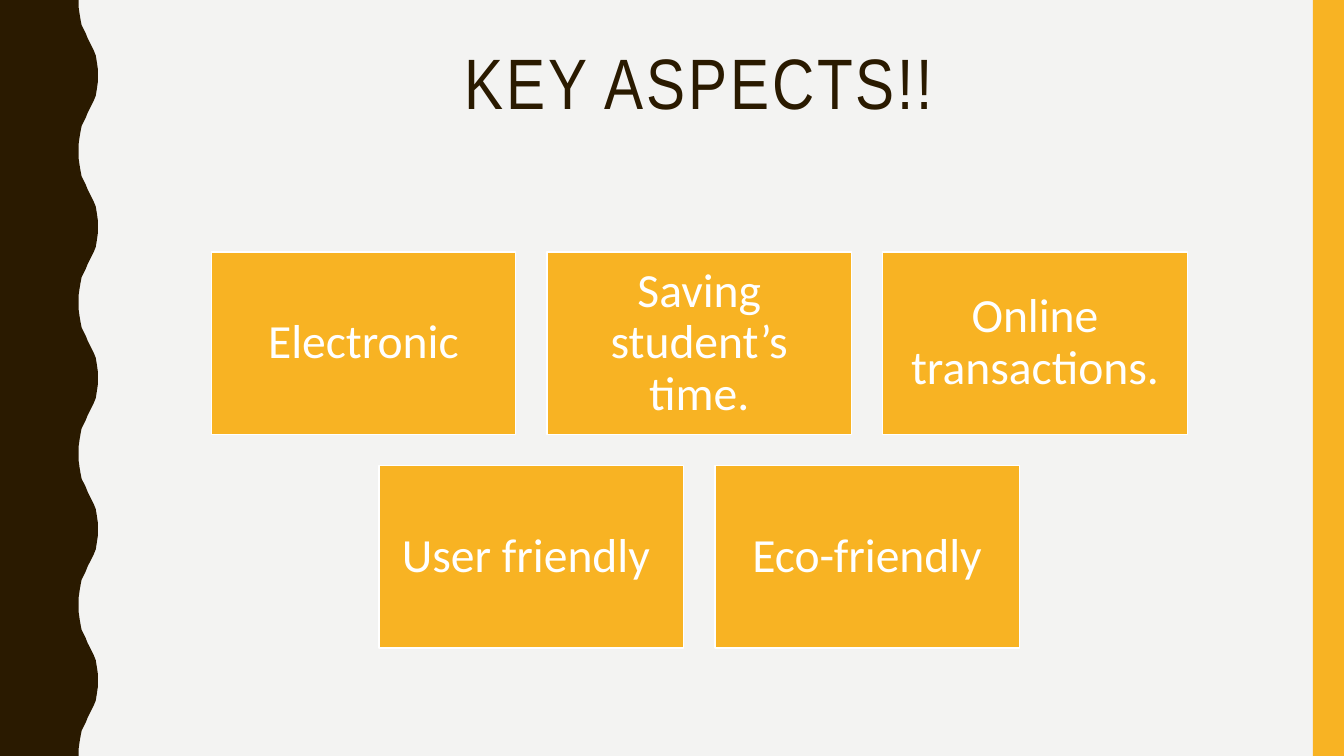
from pptx import Presentation
from pptx.dml.color import RGBColor
from pptx.enum.shapes import MSO_SHAPE
from pptx.enum.text import MSO_ANCHOR, MSO_AUTO_SIZE, PP_ALIGN
from pptx.util import Inches, Pt

RECTANGLE = MSO_SHAPE.RECTANGLE
TOP, MIDDLE = MSO_ANCHOR.TOP, MSO_ANCHOR.MIDDLE
CENTER = PP_ALIGN.CENTER
NO_AUTOFIT = MSO_AUTO_SIZE.NONE

TITLE = "KEY ASPECTS!!"
ASPECT_ROWS = [
    ["Electronic", "Saving student’s time.", "Online transactions."],
    ["User friendly ", "Eco-friendly"],
]

BROWN = RGBColor(0x2A, 0x1A, 0x00)
AMBER = RGBColor(0xF8, 0xB3, 0x23)
WHITE = RGBColor(0xFF, 0xFF, 0xFF)
PAPER = RGBColor(0xF3, 0xF3, 0xF2)

SLIDE_WIDTH, SLIDE_HEIGHT = 13.33, 7.5
CARD_WIDTH, CARD_HEIGHT, CARD_GAP = 3.02, 1.81, 0.31
GRID_CENTER, GRID_TOP = 6.935, 2.5
CARD_INSET = 0.14
STRIPE_WIDTH = 0.31

# Wave edge from trough to crest, as (x, y); the way back mirrors it.
WAVE_COUNT, WAVE_LENGTH = 5, 1.5
WAVE_RISE = [
    (0.78, 0), (0.78, 0.07), (0.79, 0.14), (0.80, 0.20), (0.81, 0.25),
    (0.83, 0.29), (0.85, 0.33), (0.87, 0.38), (0.89, 0.42), (0.91, 0.46),
    (0.93, 0.50), (0.95, 0.55), (0.96, 0.61), (0.97, 0.68), (0.97, 0.75),
]


def style_shape(shape, fill, line=None):
    shape.shadow.inherit = False
    shape.fill.solid()
    shape.fill.fore_color.rgb = fill
    if line is None:
        shape.line.fill.background()
    else:
        shape.line.color.rgb = line
        shape.line.width = Pt(1)


def write_text(frame, text, font, size, color):
    para = frame.paragraphs[0]
    para.alignment = CENTER
    para.line_spacing = 0.9
    span = para.add_run()
    span.text = text
    span.font.name = font
    span.font.size = Pt(size)
    span.font.color.rgb = color
    return span


def add_wave(page):
    fall = [(x, WAVE_LENGTH - y) for x, y in reversed(WAVE_RISE[1:-1])]
    edge = [(x, y + wave * WAVE_LENGTH)
            for wave in range(WAVE_COUNT) for x, y in WAVE_RISE + fall]
    outline = edge + [(WAVE_RISE[0][0], SLIDE_HEIGHT), (0, SLIDE_HEIGHT)]
    builder = page.shapes.build_freeform(0, 0)
    builder.add_line_segments([(Inches(x), Inches(y)) for x, y in outline], close=True)
    style_shape(builder.convert_to_shape(), BROWN)


def add_stripe(page):
    stripe = page.shapes.add_shape(
        RECTANGLE, Inches(SLIDE_WIDTH - STRIPE_WIDTH), 0,
        Inches(STRIPE_WIDTH), Inches(SLIDE_HEIGHT))
    style_shape(stripe, AMBER)


def add_title(page):
    title = page.shapes.title
    title.left, title.top = Inches(1.37), Inches(0.42)
    title.width, title.height = Inches(11.13), Inches(1.63)
    frame = title.text_frame
    frame.auto_size = NO_AUTOFIT
    frame.vertical_anchor = TOP
    span = write_text(frame, TITLE, "Arial Narrow", 51, BROWN)
    span.font._element.set("spc", "200")


def add_card(page, text, left, top):
    card = page.shapes.add_shape(
        RECTANGLE, Inches(left), Inches(top), Inches(CARD_WIDTH), Inches(CARD_HEIGHT))
    style_shape(card, AMBER, WHITE)
    frame = card.text_frame
    frame.word_wrap = True
    frame.vertical_anchor = MIDDLE
    frame.margin_left = frame.margin_right = Inches(CARD_INSET)
    frame.margin_top = frame.margin_bottom = Inches(CARD_INSET)
    write_text(frame, text, "Calibri", 34, WHITE)


def main():
    deck = Presentation()
    deck.slide_width, deck.slide_height = Inches(SLIDE_WIDTH), Inches(SLIDE_HEIGHT)
    page = deck.slides.add_slide(deck.slide_layouts.get_by_name("Title Only"))
    page.background.fill.solid()
    page.background.fill.fore_color.rgb = PAPER

    add_wave(page)
    add_stripe(page)
    add_title(page)
    for row, aspects in enumerate(ASPECT_ROWS):
        row_width = len(aspects) * (CARD_WIDTH + CARD_GAP) - CARD_GAP
        left = GRID_CENTER - row_width / 2
        top = GRID_TOP + row * (CARD_HEIGHT + CARD_GAP)
        for column, aspect in enumerate(aspects):
            add_card(page, aspect, left + column * (CARD_WIDTH + CARD_GAP), top)
    deck.save("out.pptx")


if __name__ == "__main__":
    main()
